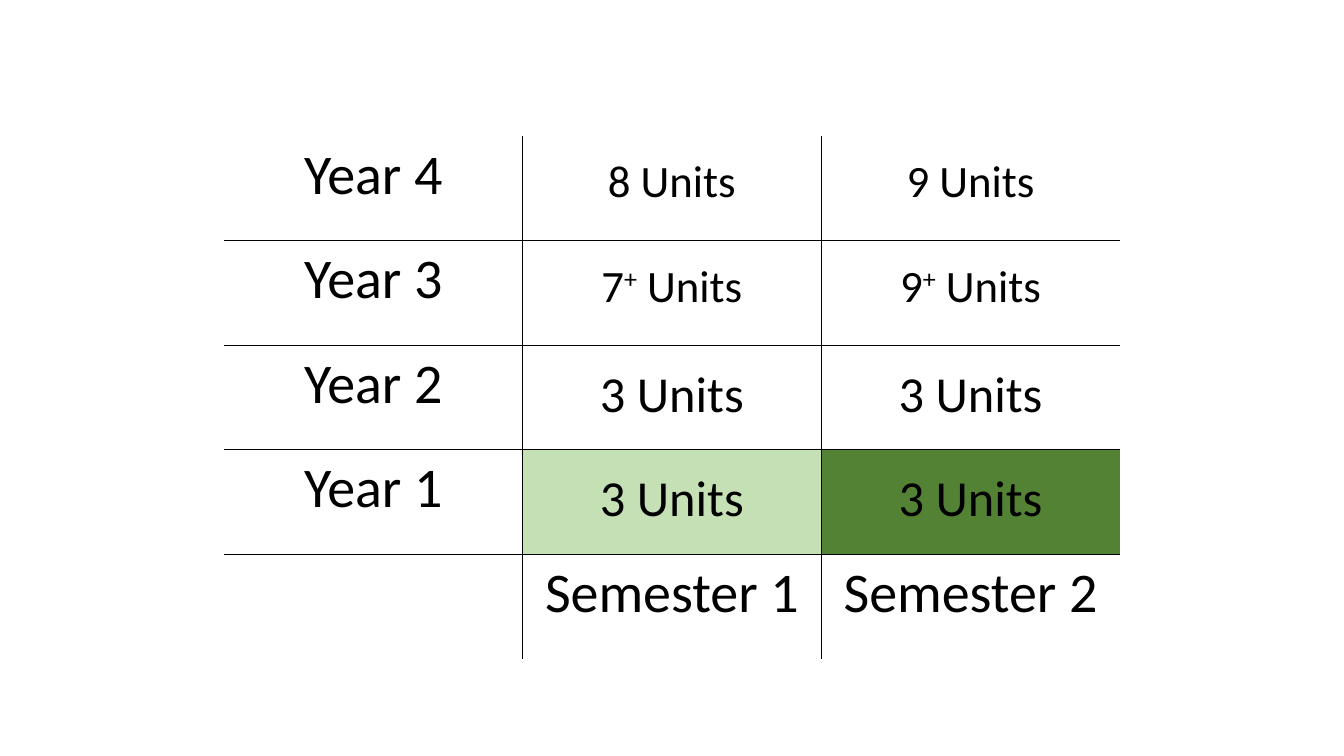
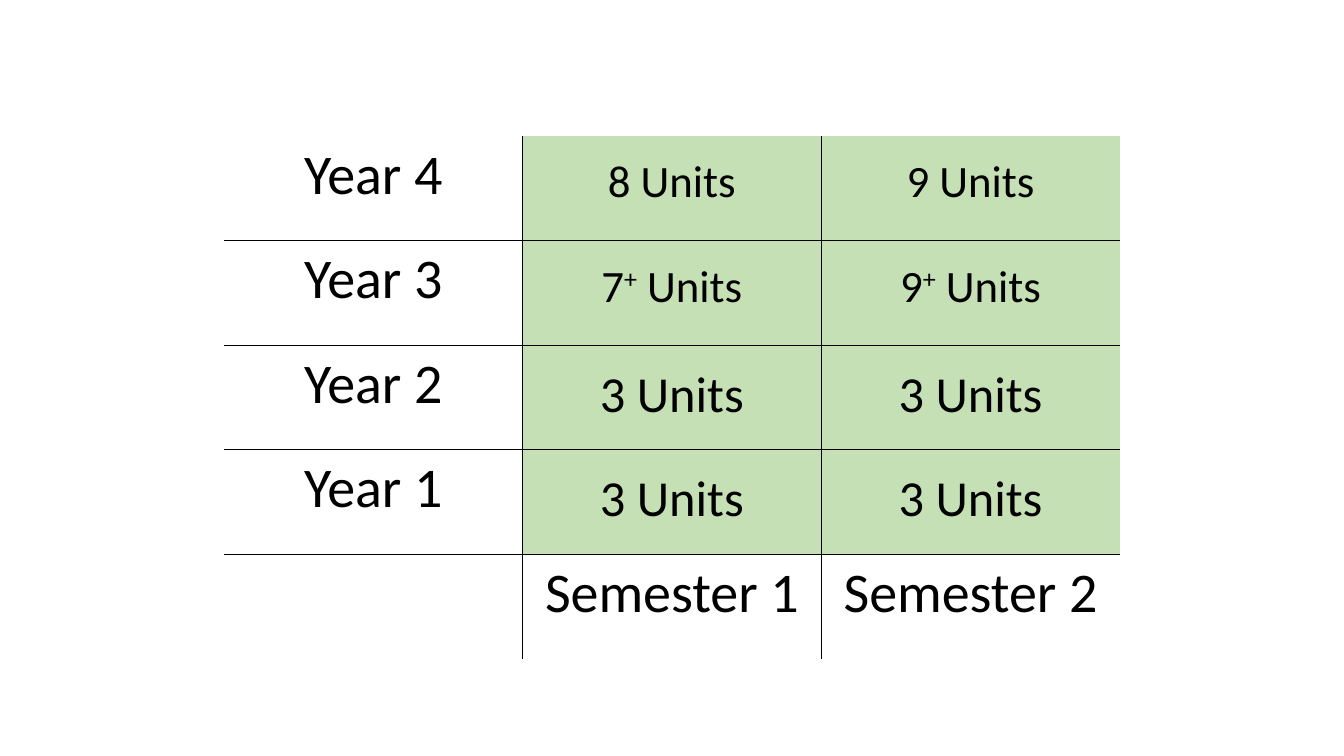
from pptx import Presentation
from pptx.dml.color import RGBColor
from pptx.enum.text import PP_ALIGN as Align
from pptx.oxml import parse_xml
from pptx.oxml.ns import nsdecls
from pptx.util import Pt

BLACK = RGBColor(0x00, 0x00, 0x00)
LIGHT_GREEN = RGBColor(0xC5, 0xE0, 0xB4)
DARK_GREEN = RGBColor(0x54, 0x82, 0x35)
FONT = "Calibri"
PLAIN_STYLE = "{2D5ABB26-0587-4C30-8999-92F81FD0307C}"


def px(pixels):
    return round(pixels * 914400 / 100.8)


def add_border(cell, side):
    cell._tc.get_or_add_tcPr().append(parse_xml(
        f'<a:{side} {nsdecls("a")} w="{Pt(1)}"><a:solidFill>'
        f'<a:srgbClr val="{BLACK}"/></a:solidFill></a:{side}>'))


# Units per year and semester: label, first, second, size of the units
YEARS = [
    ("Year 4", ["8", " Units"], ["9", " Units"], 32),
    ("Year 3", ["7", "+", " Units"], ["9", "+", " Units"], 32),
    ("Year 2", ["3", " Units"], ["3", " Units"], 36),
    ("Year 1", ["3", " Units"], ["3", " Units"], 36),
]
HEADING_SIZE = 40
grid = [[[label], first, second] for label, first, second, _ in YEARS]
grid.append([[], ["Semester 1"], ["Semester 2"]])
last_row, last_col = len(grid) - 1, len(grid[0]) - 1

# Filled cells on each slide, by row and column
first_year = {(3, 1): LIGHT_GREEN, (3, 2): DARK_GREEN}
all_years = {(row, col): LIGHT_GREEN
             for row in range(last_row) for col in range(1, last_col + 1)}

deck = Presentation()
deck.slide_width, deck.slide_height = px(1344), px(756)

for highlights in (first_year, all_years):
    slide = deck.slides.add_slide(deck.slide_layouts[6])
    plan = slide.shapes.add_table(len(grid), len(grid[0]), px(224), px(136),
                                  px(896), px(523)).table
    plan.first_row = plan.horz_banding = False
    plan._tbl.tblPr[0].text = PLAIN_STYLE

    for row, entries in enumerate(grid):
        for col, pieces in enumerate(entries):
            cell = plan.cell(row, col)
            is_units = row < last_row and col > 0

            # Inner grid lines only
            for side, inner in (("lnL", col > 0), ("lnR", col < last_col),
                                ("lnT", row > 0), ("lnB", row < last_row)):
                if inner:
                    add_border(cell, side)

            # Highlight
            if (row, col) in highlights:
                cell.fill.solid()
                cell.fill.fore_color.rgb = highlights[row, col]
            else:
                cell.fill.background()

            # Text, with units set lower than the headings
            cell.margin_top = px(19 if is_units else 5)
            line = cell.text_frame.paragraphs[0]
            line.alignment = Align.CENTER
            for piece in pieces:
                run = line.add_run()
                run.text = piece
                run.font.name = FONT
                run.font.size = Pt(YEARS[row][3] if is_units else HEADING_SIZE)
                run.font.color.rgb = BLACK
                if piece == "+":
                    run.font._element.set("baseline", "30000")

deck.save("out.pptx")
